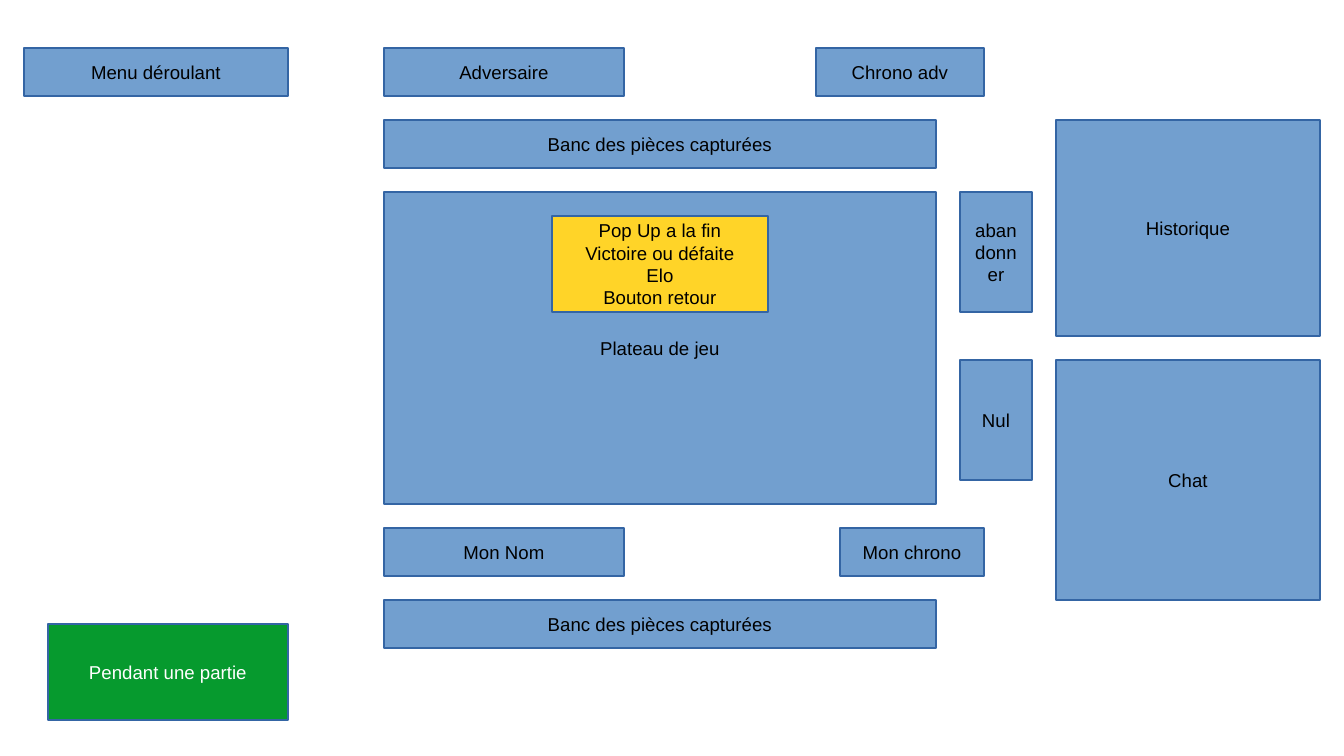
import dataclasses

import pptx
import pptx.dml.color
import pptx.enum.shapes
import pptx.enum.text
import pptx.util

# All positions and sizes are whole steps of a half-centimetre grid
GRID_STEP = 0.5 / 2.54


def grid(steps):
    return pptx.util.Inches(steps * GRID_STEP)


@dataclasses.dataclass(frozen=True)
class Theme:
    font: str = "Arial"
    text_size: int = 11
    zone: str = "729FCF"
    popup: str = "FFD428"
    state: str = "069A2E"
    border: str = "3465A4"
    dark_text: str = "000000"
    light_text: str = "FFFFFF"


class Wireframe:
    def __init__(self, slide, theme):
        self.slide = slide
        self.theme = theme

    def box(self, text, left, top, width, height, fill=None, text_color=None):
        """Draw a labelled rectangle, measured in grid steps."""
        theme = self.theme
        color = pptx.dml.color.RGBColor.from_string
        shape = self.slide.shapes.add_shape(
            pptx.enum.shapes.MSO_SHAPE.RECTANGLE,
            *map(grid, (left, top, width, height)))
        shape.shadow.inherit = False
        shape.fill.solid()
        shape.fill.fore_color.rgb = color(fill or theme.zone)
        shape.line.color.rgb = color(theme.border)
        shape.line.width = pptx.util.Pt(0)

        frame = shape.text_frame
        frame.text = text
        frame_format = {
            "word_wrap": True,
            "vertical_anchor": pptx.enum.text.MSO_ANCHOR.MIDDLE,
        }
        for name, value in frame_format.items():
            setattr(frame, name, value)
        font_format = {
            "name": theme.font,
            "size": pptx.util.Pt(theme.text_size),
        }
        for paragraph in frame.paragraphs:
            paragraph.alignment = pptx.enum.text.PP_ALIGN.CENTER
            for run in paragraph.runs:
                for name, value in font_format.items():
                    setattr(run.font, name, value)
                run.font.color.rgb = color(text_color or theme.dark_text)


presentation = pptx.Presentation()
presentation.slide_width = grid(56)
presentation.slide_height = grid(31.5)
blank_layout = presentation.slide_layouts[6]
theme = Theme()
wireframe = Wireframe(presentation.slides.add_slide(blank_layout), theme)

# Shared columns and sizes, in grid steps
BOARD_LEFT, BOARD_WIDTH = 16, 23
BUTTON_LEFT, BUTTON_WIDTH, BUTTON_HEIGHT = 40, 3, 5
PANEL_LEFT, PANEL_WIDTH = 44, 11
CLOCK_RIGHT = 41
NAME_WIDTH = 10
BAR_HEIGHT = 2

# Board
wireframe.box("Plateau de jeu", BOARD_LEFT, 8, BOARD_WIDTH, 13)

# Players: name, clock and bench of captured pieces
for name, clock, clock_width, top in (
        ("Adversaire", "Chrono adv", 7, 2),
        ("Mon Nom", "Mon chrono", 6, 22)):
    wireframe.box(name, BOARD_LEFT, top, NAME_WIDTH, BAR_HEIGHT)
    wireframe.box(clock, CLOCK_RIGHT - clock_width, top, clock_width, BAR_HEIGHT)
    wireframe.box("Banc des pièces capturées",
                  BOARD_LEFT, top + 3, BOARD_WIDTH, BAR_HEIGHT)

# Game buttons
for label, top in (("abandonner", 8), ("Nul", 15)):
    wireframe.box(label, BUTTON_LEFT, top, BUTTON_WIDTH, BUTTON_HEIGHT)

# Side panels
for label, top, height in (("Historique", 5, 9), ("Chat", 15, 10)):
    wireframe.box(label, PANEL_LEFT, top, PANEL_WIDTH, height)

# Menu, end-of-game popup and screen state
wireframe.box("Menu déroulant", 1, 2, 11, BAR_HEIGHT)
wireframe.box("Pop Up a la fin\nVictoire ou défaite\nElo\nBouton retour",
              23, 9, 9, 4, fill=theme.popup)
wireframe.box("Pendant une partie", 2, 26, 10, 4,
              fill=theme.state, text_color=theme.light_text)

presentation.save("out.pptx")
